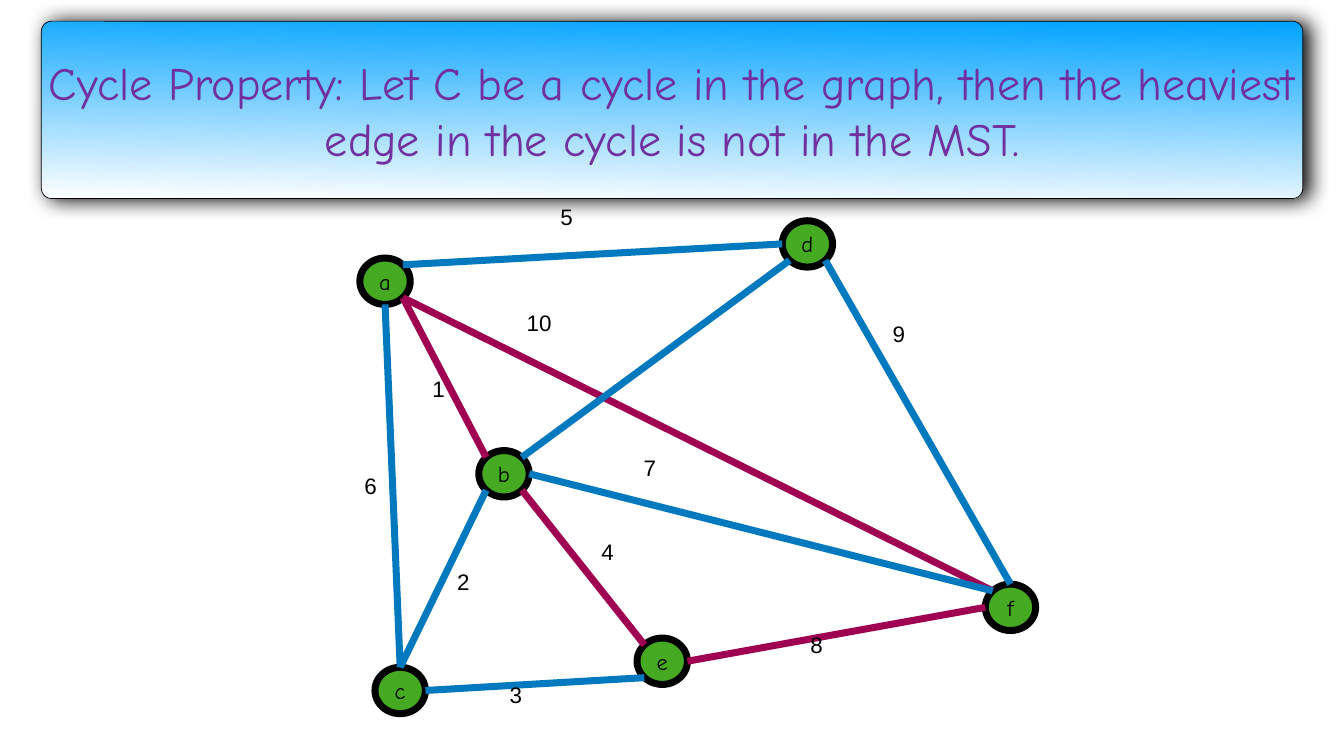
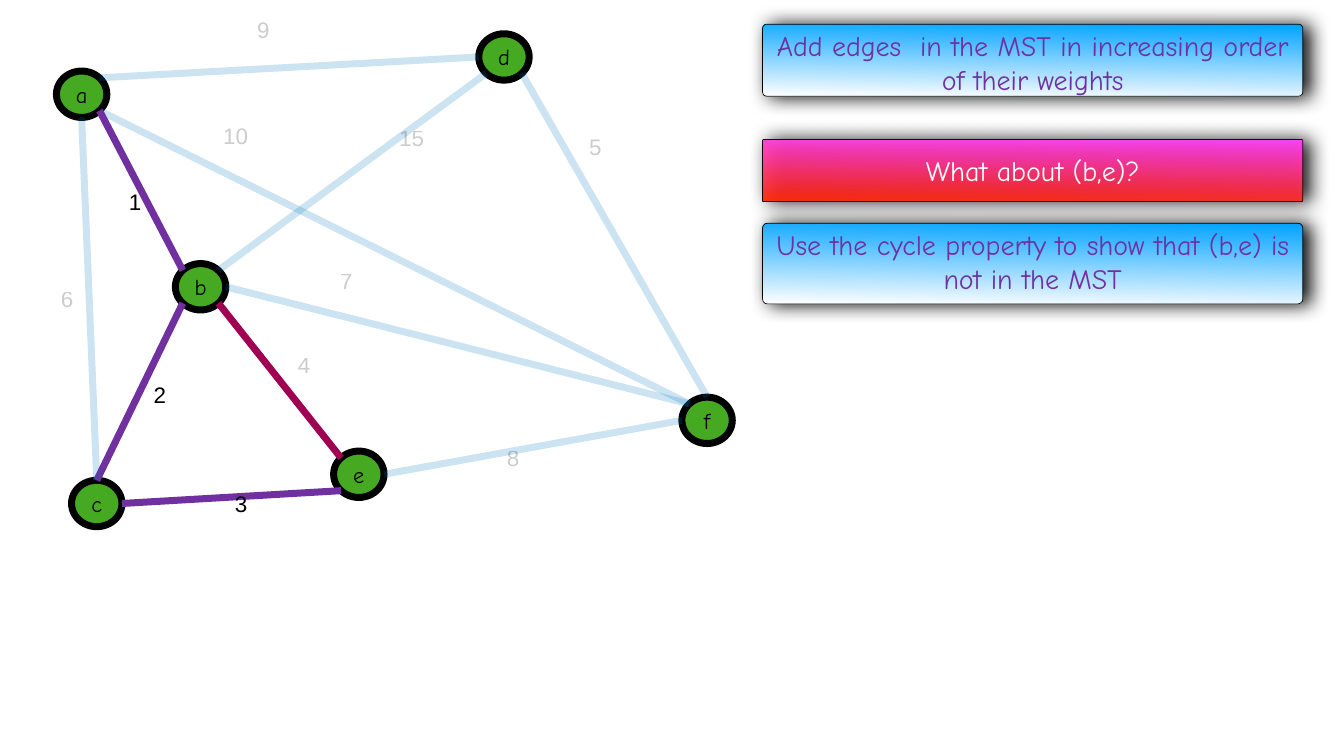
from dataclasses import dataclass, field
from typing import NamedTuple

from lxml.etree import SubElement
from pptx import Presentation
from pptx.dml.color import RGBColor
from pptx.enum.shapes import MSO_CONNECTOR as Connector, MSO_SHAPE as Preset
from pptx.enum.text import MSO_ANCHOR as Anchor, MSO_AUTO_SIZE as AutoSize, PP_ALIGN as Align
from pptx.oxml.ns import qn
from pptx.util import Emu, Inches, Pt

# Slide grid: 160 columns by 90 rows
WIDTH, HEIGHT = Inches(26.67), Inches(15)
COLUMN, ROW = WIDTH / 160, HEIGHT / 90
INSET = Inches(0.06)

# Colours and fonts
BLACK, WHITE, PURPLE = "000000", "FFFFFF", "7030A0"
BLUE, CRIMSON, GREEN = "0079BF", "A00051", "45AA21"
SKY, PINK, RED = "00A2FF", "FF40FF", "FF2600"
HAND_FONT, PLAIN_FONT = "Comic Neue", "Arial"

# Graph sizes, in columns and rows
NODE_WIDTH, NODE_HEIGHT = 6, 5.52
LABEL_HEIGHT = 7.38
STROKE = Pt(10)


class Point(NamedTuple):
    x: float
    y: float


class Edge(NamedTuple):
    name: str
    start: str  # node and compass point
    end: str
    label: Point


class Look(NamedTuple):
    color: str
    opacity: int = 100
    label_opacity: int = 100


@dataclass(frozen=True)
class Card:
    left: float
    top: float
    width: float
    height: float
    text: str
    size: int = 40
    ink: str = PURPLE
    shades: tuple[str, str] = (SKY, WHITE)
    opacity: int = 100
    corner: float = 0.059
    anchor: Anchor = Anchor.TOP


@dataclass(frozen=True)
class Graph:
    origin: Point
    weights: dict[str, str]
    default: Look
    special: dict[str, Look]
    moved_labels: dict[str, Point] = field(default_factory=dict)


# Node centres
NODES = {
    "a": Point(9.72, 11.22), "d": Point(60, 6.78), "b": Point(23.88, 34.14),
    "c": Point(11.52, 59.94), "e": Point(42.72, 56.46), "f": Point(84.18, 50.04),
}

# Points on a node's rim, as shares of its width and height
DIAGONAL = 0.354
RIM = {
    "N": Point(0, -0.5), "S": Point(0, 0.5), "W": Point(-0.5, 0), "E": Point(0.5, 0),
    "NW": Point(-DIAGONAL, -DIAGONAL), "NE": Point(DIAGONAL, -DIAGONAL),
    "SW": Point(-DIAGONAL, DIAGONAL), "SE": Point(DIAGONAL, DIAGONAL),
}

EDGES = [
    Edge("df", "d SE", "f N", Point(69.78, 13.92)),
    Edge("af", "f NW", "a SE", Point(26.22, 12.6)),
    Edge("bd", "d SW", "b NE", Point(47.16, 12.9)),
    Edge("bc", "c N", "b SW", Point(17.94, 43.44)),
    Edge("be", "e NW", "b SE", Point(35.1, 39.96)),
    Edge("ef", "f W", "e E", Point(60, 51)),
    Edge("ab", "b NW", "a SE", Point(15, 20.46)),
    Edge("ad", "d W", "a NE", Point(30.24, 0)),
    Edge("ac", "c N", "a S", Point(6.9, 32.1)),
    Edge("ce", "c E", "e SW", Point(24.18, 56.94)),
    Edge("bf", "f NW", "b E", Point(40.14, 29.94)),
]

COMMON_WEIGHTS = {"af": "10", "bc": "2", "be": "4", "ef": "8", "ab": "1",
                  "ac": "6", "ce": "3", "bf": "7"}
HEAVY = Look(CRIMSON)
CHOSEN = Look(PURPLE)

CYCLE_GRAPH = Graph(
    origin=Point(36.12, 22.26),
    weights=COMMON_WEIGHTS | {"ad": "5", "df": "9"},
    default=Look(BLUE),
    special=dict.fromkeys(("af", "be", "ef", "ab"), HEAVY),
)
MST_GRAPH = Graph(
    origin=Point(0, 0),
    weights=COMMON_WEIGHTS | {"ad": "9", "df": "5", "bd": "15"},
    default=Look(BLUE, 20, 20),
    special=dict.fromkeys(("ab", "bc", "ce"), CHOSEN) | {"be": Look(CRIMSON, 100, 20)},
    moved_labels={"ce": Point(27.6, 56.46)},
)

TITLE = Card(4.92, 2.52, 150.18, 21.12,
             "Cycle Property: Let C be a cycle in the graph, then the heaviest "
             "edge in the cycle is not in the MST.", size=66, anchor=Anchor.MIDDLE)
SIDE_LEFT, SIDE_WIDTH = 90.78, 64.32
SIDE_CARDS = [
    Card(SIDE_LEFT, 16.62, SIDE_WIDTH, 7.38, "What about (b,e)?", ink=WHITE,
         shades=(PINK, RED), opacity=93, corner=0.017, anchor=Anchor.MIDDLE),
    Card(SIDE_LEFT, 26.58, SIDE_WIDTH, 9.6,
         "Use the cycle property to show that (b,e) is not in the MST"),
    Card(SIDE_LEFT, 2.88, SIDE_WIDTH, 8.58,
         "Add edges  in the MST in increasing order of their weights"),
]


def rgb(color: str) -> RGBColor:
    return RGBColor.from_string(color)


def cells(left: float, top: float, width: float, height: float) -> tuple[Emu, ...]:
    """Turn grid columns and rows into slide lengths."""
    return (Emu(round(left * COLUMN)), Emu(round(top * ROW)),
            Emu(round(width * COLUMN)), Emu(round(height * ROW)))


def set_opacity(element, percent: int) -> None:
    if percent < 100:
        for color in element.iter(qn("a:srgbClr")):
            SubElement(color, qn("a:alpha"), val=str(percent * 1000))


def add_shadow(shape) -> None:
    effects = shape._element.spPr.find(qn("a:effectLst"))
    shadow = SubElement(effects, qn("a:outerShdw"), blurRad=str(Pt(28)),
                        dist=str(Pt(9)), dir="0", rotWithShape="0")
    color = SubElement(shadow, qn("a:srgbClr"), val=BLACK)
    SubElement(color, qn("a:alpha"), val="97000")


def write(box, text: str, size: int, font: str, ink: str,
          align: Align = Align.CENTER, anchor: Anchor = Anchor.MIDDLE):
    """Set one paragraph of text and return it."""
    frame = box.text_frame
    frame.text = text
    frame.word_wrap = True
    frame.vertical_anchor = anchor
    frame.margin_left = frame.margin_right = INSET
    frame.margin_top = frame.margin_bottom = INSET
    para = frame.paragraphs[0]
    para.alignment = align
    span = para.runs[0]
    span.font.size = Pt(size)
    span.font.name = font
    span.font.color.rgb = rgb(ink)
    return para


def draw_card(page, card: Card) -> None:
    box = page.shapes.add_shape(Preset.ROUNDED_RECTANGLE,
                                *cells(card.left, card.top, card.width, card.height))
    box.adjustments[0] = card.corner
    box.fill.gradient()
    box.fill.gradient_angle = 269
    for stop, shade, position in zip(box.fill.gradient_stops, card.shades, (0, 1)):
        stop.color.rgb = rgb(shade)
        stop.position = position
    box.line.color.rgb = rgb(BLACK)
    box.line.width = Pt(1)
    set_opacity(box._element, card.opacity)
    box.shadow.inherit = False
    add_shadow(box)
    write(box, card.text, card.size, HAND_FONT, card.ink, anchor=card.anchor)


def draw_node(page, name: str, center: Point) -> None:
    node = page.shapes.add_shape(
        Preset.OVAL, *cells(center.x - NODE_WIDTH / 2, center.y - NODE_HEIGHT / 2,
                            NODE_WIDTH, NODE_HEIGHT))
    node.shadow.inherit = False
    node.fill.solid()
    node.fill.fore_color.rgb = rgb(GREEN)
    node.line.color.rgb = rgb(BLACK)
    node.line.width = STROKE
    write(node, name, 32, HAND_FONT, BLACK)
    node.text_frame.auto_size = AutoSize.SHAPE_TO_FIT_TEXT


def rim_point(place: str, origin: Point) -> Point:
    """Find where an edge meets a node, such as 'd SE'."""
    name, side = place.split()
    center, share = NODES[name], RIM[side]
    return Point(origin.x + center.x + share.x * NODE_WIDTH,
                 origin.y + center.y + share.y * NODE_HEIGHT)


def draw_edge(page, edge: Edge, origin: Point, look: Look) -> None:
    ends = cells(*rim_point(edge.start, origin), *rim_point(edge.end, origin))
    line = page.shapes.add_connector(Connector.STRAIGHT, *ends)
    line.line.color.rgb = rgb(look.color)
    line.line.width = STROKE
    set_opacity(line._element, look.opacity)
    SubElement(line._element.spPr, qn("a:effectLst"))


def draw_label(page, weight: str, corner: Point, opacity: int) -> None:
    width = 3.24 if len(weight) == 1 else 4.2
    box = page.shapes.add_textbox(*cells(corner.x, corner.y, width, LABEL_HEIGHT))
    para = write(box, weight, 32, PLAIN_FONT, BLACK, Align.LEFT)
    para.line_spacing = 0.9
    para.space_before = Pt(45)
    box.text_frame.auto_size = AutoSize.SHAPE_TO_FIT_TEXT
    set_opacity(box._element, opacity)


def draw_graph(page, graph: Graph) -> None:
    origin = graph.origin
    for name, center in NODES.items():
        draw_node(page, name, Point(origin.x + center.x, origin.y + center.y))
    looks = {edge.name: graph.special.get(edge.name, graph.default) for edge in EDGES}
    for edge in EDGES:
        draw_edge(page, edge, origin, looks[edge.name])
    for edge in EDGES:
        if edge.name in graph.weights:
            spot = graph.moved_labels.get(edge.name, edge.label)
            draw_label(page, graph.weights[edge.name],
                       Point(origin.x + spot.x, origin.y + spot.y),
                       looks[edge.name].label_opacity)


def main() -> None:
    deck = Presentation()
    deck.slide_width, deck.slide_height = WIDTH, HEIGHT
    for graph, cards in ((CYCLE_GRAPH, [TITLE]), (MST_GRAPH, SIDE_CARDS)):
        page = deck.slides.add_slide(deck.slide_layouts[6])
        draw_graph(page, graph)
        for card in cards:
            draw_card(page, card)
    deck.save("out.pptx")


if __name__ == "__main__":
    main()
